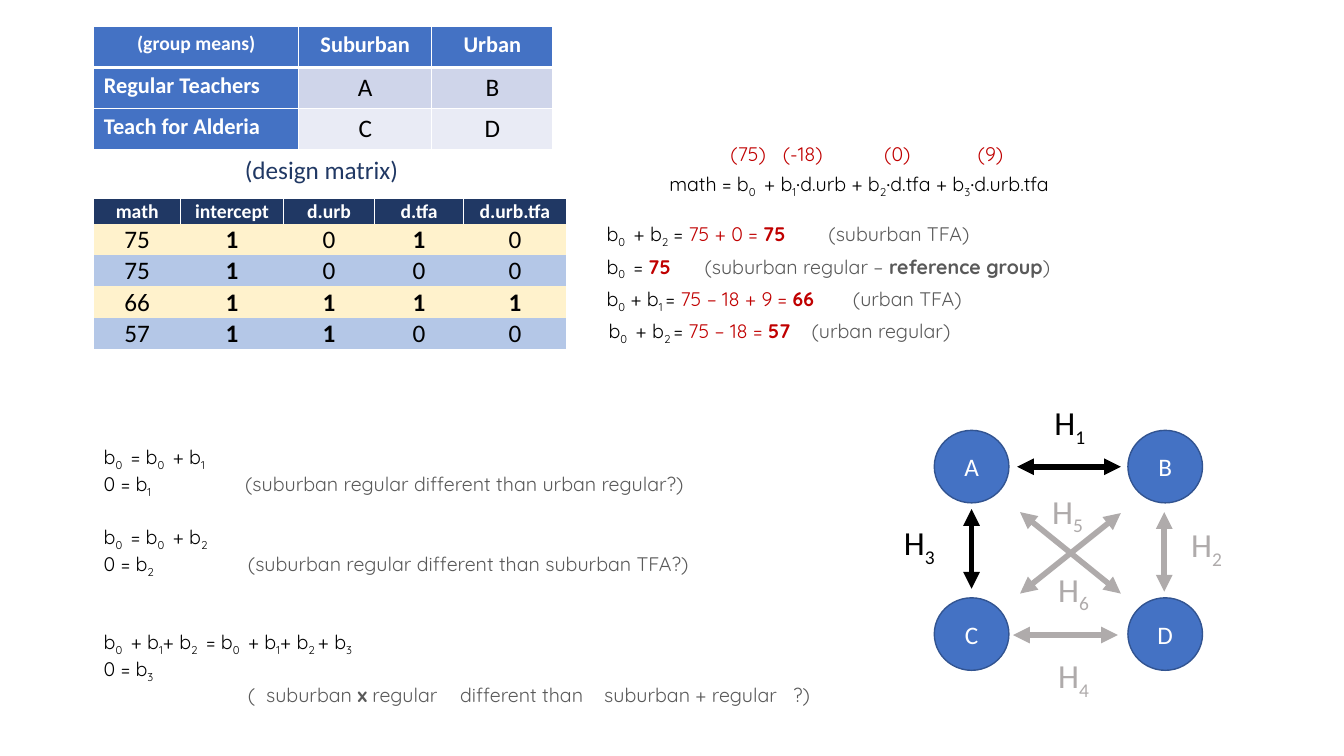
from dataclasses import dataclass

from lxml import etree
from pptx import Presentation
from pptx.dml.color import RGBColor
from pptx.enum import shapes, text
from pptx.oxml.ns import qn
from pptx.util import Pt


@dataclass(frozen=True)
class Theme:
    body: str = "Calibri"
    formula: str = "Quicksand"
    black: str = "000000"
    white: str = "FFFFFF"
    blue: str = "4472C4"
    outline: str = "325491"
    navy: str = "203864"
    red: str = "C00000"
    note: str = "595959"
    faded: str = "AFABAB"
    mean_bands: tuple = ("CFD5EA", "E9EBF5")
    design_bands: tuple = ("FFF2CC", "B4C7E7")
    small: int = 14
    label: int = 16
    large: int = 18
    hypothesis: int = 24


THEME = Theme()
NO_GRID_STYLE = "{2D5ABB26-0587-4C30-8999-92F81FD0307C}"
LEFT, CENTER = text.PP_ALIGN.LEFT, text.PP_ALIGN.CENTER


def rgb(color):
    return RGBColor.from_string(color)


def set_font(font, name, size, color, bold=False):
    font.name, font.size, font.bold = name, Pt(size), bold
    font.color.rgb = rgb(color)


def add_run(paragraph, words, color, bold, subscript=False):
    if not words:
        return
    run = paragraph.add_run()
    run.text = words
    run.font.color.rgb = rgb(color)
    run.font.bold = bold
    if subscript:
        run._r.get_or_add_rPr().set("baseline", "-25000")


def add_marked_text(paragraph, words, color=THEME.black, bold=False):
    first, *pieces = words.split("{")
    add_run(paragraph, first, color, bold)
    for piece in pieces:
        subscript, rest = piece.split("}")
        add_run(paragraph, subscript, color, bold, subscript=True)
        add_run(paragraph, rest, color, bold)


def set_tabs(paragraph, stops):
    tab_list = etree.Element(qn("a:tabLst"))
    for stop in stops:
        etree.SubElement(tab_list, qn("a:tab"), pos=str(Pt(stop)), algn="l")
    paragraph._p.get_or_add_pPr().insert(0, tab_list)


def add_text(slide, frame, lines, name=THEME.formula, size=THEME.small, align=LEFT, tabs=()):
    text_frame = slide.shapes.add_textbox(*map(Pt, frame)).text_frame
    text_frame.word_wrap = True
    text_frame.auto_size = text.MSO_AUTO_SIZE.SHAPE_TO_FIT_TEXT
    for index, line in enumerate(lines):
        paragraph = text_frame.add_paragraph() if index else text_frame.paragraphs[0]
        paragraph.alignment = align
        paragraph.font.name, paragraph.font.size = name, Pt(size)
        if tabs:
            set_tabs(paragraph, tabs)
        for part in line:
            add_marked_text(paragraph, *part)


def add_borders(cell, **widths):
    properties = cell._tc.get_or_add_tcPr()
    for index, (side, width) in enumerate(widths.items()):
        line = etree.Element(qn(f"a:{side}"), w=str(Pt(width)))
        fill = etree.SubElement(line, qn("a:solidFill"))
        etree.SubElement(fill, qn("a:srgbClr"), val=THEME.white)
        properties.insert(index, line)


def add_table(slide, position, widths, heights, rows, format_cell):
    frame = slide.shapes.add_table(len(rows), len(widths), *map(Pt, position),
                                   Pt(sum(widths)), Pt(sum(heights)))
    table = frame.table
    table._tbl.tblPr.find(qn("a:tableStyleId")).text = NO_GRID_STYLE
    for column, width in zip(table.columns, widths):
        column.width = Pt(width)
    for row_index, (row, height) in enumerate(zip(rows, heights)):
        table.rows[row_index].height = Pt(height)
        for column_index, words in enumerate(row):
            cell = table.cell(row_index, column_index)
            cell.text = words
            format_cell(cell, row_index, column_index)


def fill_cell(cell, fill, size, color, bold, align=CENTER):
    cell.fill.solid()
    cell.fill.fore_color.rgb = rgb(fill)
    paragraph = cell.text_frame.paragraphs[0]
    paragraph.alignment = align
    set_font(paragraph.font, THEME.body, size, color, bold)


def format_mean(cell, row, column):
    if row and column:
        fill_cell(cell, THEME.mean_bands[row - 1], THEME.large, THEME.black, False)
    else:
        size = THEME.label if row or column else THEME.small
        fill_cell(cell, THEME.blue, size, THEME.white, True, LEFT if row else CENTER)
    add_borders(cell, lnL=1, lnR=1, lnT=3 if row == 1 else 1, lnB=1 if row else 3)


def format_design(cell, row, column):
    cell.margin_left = cell.margin_right = cell.margin_top = Pt(0.72)
    cell.margin_bottom = 0
    cell.vertical_anchor = text.MSO_ANCHOR.BOTTOM
    if row:
        fill_cell(cell, THEME.design_bands[(row - 1) % 2], THEME.large, THEME.black, cell.text == "1")
    else:
        fill_cell(cell, THEME.navy, THEME.small, THEME.white, True)
        add_borders(cell, lnL=1, lnR=1, lnT=1)


def add_group_circle(slide, left, top, letter):
    circle = slide.shapes.add_shape(shapes.MSO_SHAPE.OVAL, Pt(left), Pt(top), Pt(53.3), Pt(51.8))
    circle.shadow.inherit = False
    circle.fill.solid()
    circle.fill.fore_color.rgb = rgb(THEME.blue)
    circle.line.color.rgb = rgb(THEME.outline)
    circle.line.width = Pt(1)
    circle.text_frame.vertical_anchor = text.MSO_ANCHOR.MIDDLE
    paragraph = circle.text_frame.paragraphs[0]
    paragraph.text, paragraph.alignment = letter, CENTER
    set_font(paragraph.font, THEME.body, THEME.large, THEME.white)


def add_double_arrow(slide, ends, color):
    arrow = slide.shapes.add_connector(shapes.MSO_CONNECTOR.STRAIGHT, *map(Pt, ends))
    arrow.line.color.rgb = rgb(color)
    arrow.line.width = Pt(4)
    line = arrow.line._get_or_add_ln()
    for end in ("headEnd", "tailEnd"):
        etree.SubElement(line, qn(f"a:{end}"), type="triangle")
    etree.SubElement(arrow._element.spPr, qn("a:effectLst"))


def add_hypotheses(slide):
    for index, letter in enumerate("ABCD"):
        add_group_circle(slide, 667.4 + index % 2 * 138.3, 307.4 + index // 2 * 119.6, letter)
    hypotheses = [
        ("1", (726.5, 333.4, 800.6, 333.4), (746, 283.7), THEME.black),
        ("2", (831.6, 365.8, 831.6, 422.6), (843.8, 370.8), THEME.faded),
        ("3", (694, 363.6, 694, 420.5), (638.6, 369.4), THEME.black),
        ("4", (723.6, 453.6, 798.5, 453.6), (748.8, 464.4), THEME.faded),
        ("5", (728.6, 365.8, 800.6, 424), (744.5, 347), THEME.faded),
        ("6", (800.6, 366.5, 728.6, 424), (748.8, 402.5), THEME.faded),
    ]
    for number, ends, position, color in hypotheses:
        add_double_arrow(slide, ends, color)
        add_text(slide, (*position, 40, 36), [[(f"H{{{number}}}", color)]],
                 THEME.body, THEME.hypothesis)


def add_model(slide):
    for left, value in ((504, "(75)"), (543, "(-18)"), (610.5, "(0)"), (677, "(9)")):
        add_text(slide, (left, 98, 61, 24), [[(value, THEME.red)]], align=CENTER)
    add_text(slide, (471, 119, 318, 24), [[("math = b{0 } + b{1}∙d.urb + b{2}∙d.tfa + b{3}∙d.urb.tfa",)]])
    results = [
        (426.2, "b{0 } + b{2} = ", "75 + 0 = ", "75", 158.5, [("(suburban TFA)", THEME.note)]),
        (426.2, "b{0 } = ", "", "75", 70, [("(suburban regular – ", THEME.note),
                                          ("reference group", THEME.note, True), (")", THEME.note)]),
        (426.2, "b{0} + b{1 }= ", "75 – 18 + 9 = ", "66", 176, [("(urban TFA)", THEME.note)]),
        (427.7, "b{0 } + b{2 }= ", "75 – 18 = ", "57", 145, [("(urban regular)", THEME.note)]),
    ]
    for index, (left, terms, sums, mean, tab, note) in enumerate(results):
        line = [(terms,), (sums, THEME.red), (mean + "\t", THEME.red, True), *note]
        add_text(slide, (left, 155 + index * 23.2, 355, 24), [line], tabs=[tab])


def add_contrasts(slide):
    comparisons = [(314.6, "1", "urban regular", 101), (371.5, "2", "suburban TFA", 103)]
    for top, term, group, tab in comparisons:
        lines = [[(f"b{{0 }} = b{{0 }} + b{{{term}}}",)],
                 [(f"0 = b{{{term}}}\t",), (f"(suburban regular different than {group}?)", THEME.note)]]
        add_text(slide, (67, top, 450, 41), lines, tabs=[tab])
    interaction = [
        [("b{0 } + b{1}+ b{2 } = b{0 } + b{1}+ b{2 }+ b{3}",)],
        [("0 = b{3}",)],
        [("\t(\tsuburban ", THEME.note), ("x", THEME.note, True),
         (" regular\tdifferent than\tsuburban + regular\t?)", THEME.note)],
    ]
    add_text(slide, (67, 446.4, 541, 58), interaction, tabs=[103, 116, 254.5, 357.5, 492.5])


def main():
    presentation = Presentation()
    presentation.slide_width, presentation.slide_height = Pt(960), Pt(540)
    slide = presentation.slides.add_slide(presentation.slide_layouts[6])
    means = [("(group means)", "Suburban", "Urban"),
             ("Regular Teachers", "A", "B"), ("Teach for Alderia", "C", "D")]
    add_table(slide, (67, 18.9), (146.4, 95, 86.6), [29.3] * 3, means, format_mean)
    add_text(slide, (167.8, 106.6, 128, 29), [[("(design matrix)", THEME.navy)]], THEME.body, THEME.large)
    design = [("math", "intercept", "d.urb", "d.tfa", "d.urb.tfa"), "75 1 0 1 0".split(),
              "75 1 0 0 0".split(), "66 1 1 1 1".split(), "57 1 1 0 0".split()]
    add_table(slide, (67, 141.8), (62, 73.5, 65.2, 63.4, 73.5), [18] + [22.3] * 4, design, format_design)
    add_model(slide)
    add_contrasts(slide)
    add_hypotheses(slide)
    presentation.save("out.pptx")


if __name__ == "__main__":
    main()
